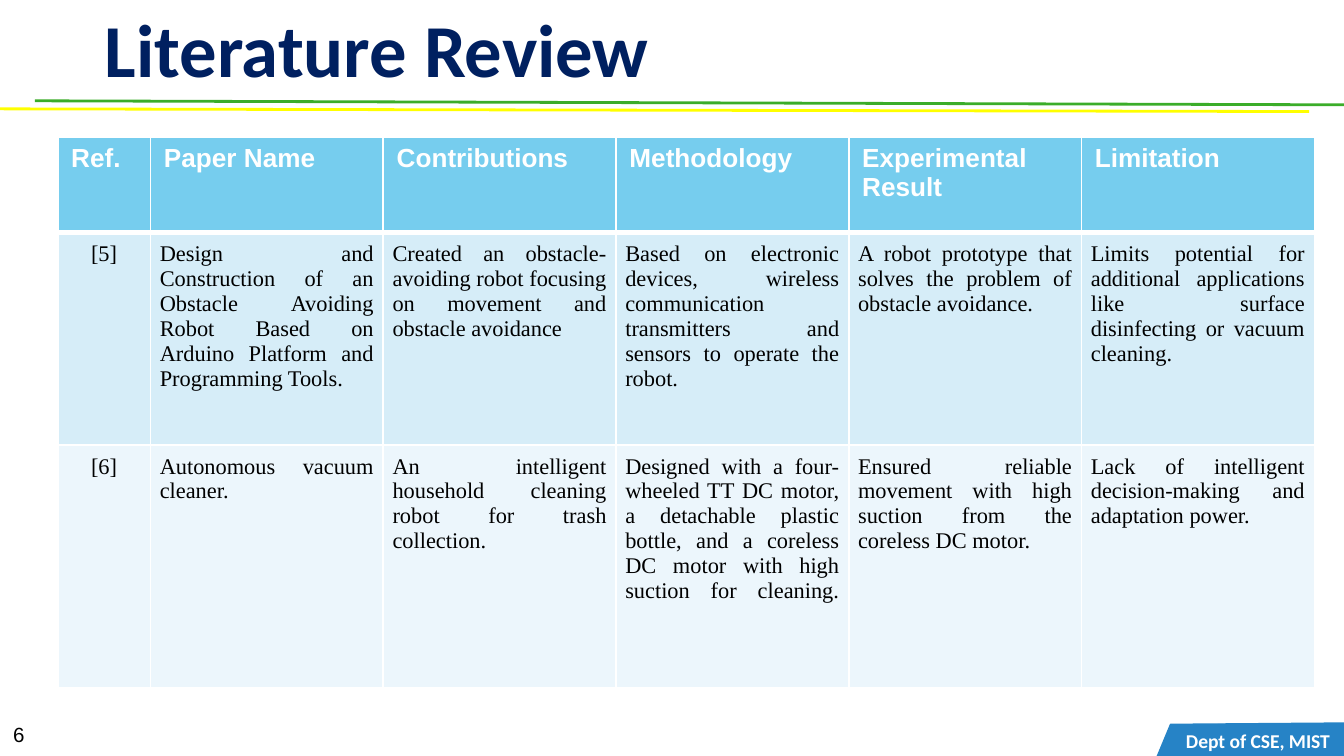
from lxml import etree
from pptx import Presentation
from pptx.dml.color import RGBColor
from pptx.enum.shapes import MSO_CONNECTOR
from pptx.enum.text import MSO_ANCHOR, PP_ALIGN
from pptx.oxml.ns import qn
from pptx.util import Inches, Pt

WHITE = RGBColor(0xFF, 0xFF, 0xFF)
BLACK = RGBColor(0x00, 0x00, 0x00)
NAVY = RGBColor(0x00, 0x20, 0x60)
GREEN = RGBColor(0x3B, 0xAD, 0x29)
YELLOW = RGBColor(0xFF, 0xFF, 0x00)
BLUE = RGBColor(0x26, 0x83, 0xC6)
HEADER_FILL = RGBColor(0x76, 0xCD, 0xEE)
ROW_FILLS = [HEADER_FILL, RGBColor(0xD6, 0xED, 0xF8), RGBColor(0xEC, 0xF6, 0xFC)]


def write(frame, text, font_name, size, color, bold=False, align=PP_ALIGN.LEFT):
    frame.text = text
    frame.word_wrap = True
    paragraph = frame.paragraphs[0]
    paragraph.alignment = align
    for span in paragraph.runs:
        span.font.name = font_name
        span.font.size = Pt(size)
        span.font.bold = bold
        span.font.color.rgb = color


def set_border(cell, side, width):
    line = etree.SubElement(cell._tc.get_or_add_tcPr(), qn(f"a:ln{side}"), w=str(Pt(width)))
    fill = etree.SubElement(line, qn("a:solidFill"))
    etree.SubElement(fill, qn("a:srgbClr"), val=str(WHITE))


deck = Presentation()
deck.slide_width = Inches(10)
deck.slide_height = Inches(10 * 9 / 16)
page = deck.slides.add_slide(deck.slide_layouts[5])

rules = [(0.26, 0.75, 10, 0.78, GREEN), (0, 0.81, 9.74, 0.83, YELLOW)]
for left, top, right, bottom, color in rules:
    rule = page.shapes.add_connector(
        MSO_CONNECTOR.STRAIGHT, Inches(left), Inches(top), Inches(right), Inches(bottom)
    )
    rule.line.color.rgb = color
    rule.line.width = Pt(1.5)
    etree.SubElement(rule._element.spPr, qn("a:effectLst"))

title = page.shapes.title
title.left, title.top = Inches(0.68), Inches(-0.08)
title.width, title.height = Inches(9.1), Inches(0.88)
title.text_frame.vertical_anchor = MSO_ANCHOR.TOP
title.text_frame.margin_top = title.text_frame.margin_bottom = Inches(0.1)
write(title.text_frame, "Literature Review", "Calibri", 40, NAVY, bold=True)

number_box = page.shapes.add_textbox(Inches(0), Inches(5.32), Inches(0.53), Inches(0.29))
write(number_box.text_frame, "6", "Arial", 11, BLACK)

outline = page.shapes.build_freeform(Inches(8.61), Inches(5.63))
corners = [(8.71, 5.39), (10, 5.38), (10.01, 5.63)]
outline.add_line_segments([(Inches(x), Inches(y)) for x, y in corners], close=True)
footer = outline.convert_to_shape()
footer.shadow.inherit = False
footer.fill.solid()
footer.fill.fore_color.rgb = BLUE
footer.line.color.rgb = BLUE
footer.line.width = Pt(0.75)

footer_box = page.shapes.add_textbox(Inches(8.72), Inches(5.41), Inches(1.28), Inches(0.2))
footer_box.text_frame.vertical_anchor = MSO_ANCHOR.MIDDLE
footer_box.text_frame.margin_top = footer_box.text_frame.margin_bottom = Inches(0.1)
write(footer_box.text_frame, "Dept of CSE, MIST", "Calibri", 10.5, WHITE, True, PP_ALIGN.CENTER)

papers = [
    ["Ref.", "Paper Name", "Contributions", "Methodology", "Experimental Result", "Limitation"],
    [
        "[5]",
        "Design and Construction of an Obstacle Avoiding Robot Based on Arduino Platform "
        "and Programming Tools.",
        "Created an obstacle-avoiding robot focusing on movement and obstacle avoidance",
        "Based on electronic devices, wireless communication transmitters and sensors "
        "to operate the robot.",
        "A robot prototype that solves the problem of obstacle avoidance.",
        "Limits potential for additional applications like surface disinfecting or "
        "vacuum cleaning.",
    ],
    [
        "[6]",
        "Autonomous vacuum cleaner.",
        "An intelligent household cleaning robot for trash collection.",
        "Designed with a four-wheeled TT DC motor, a detachable plastic bottle, and a "
        "coreless DC motor with high suction for cleaning.\v",
        "Ensured reliable movement with high suction from the coreless DC motor.",
        "Lack of intelligent decision-making and adaptation power.",
    ],
]
table_width = 9.35
reference_width = 0.69
column_widths = [reference_width] + [(table_width - reference_width) / 5] * 5
row_heights = [0.71, 1.58, 1.81]
cell_margin = Inches(5 / 72)
table = page.shapes.add_table(
    len(papers), len(column_widths), Inches(0.43), Inches(1.02),
    Inches(table_width), Inches(sum(row_heights)),
).table
table.horz_banding = False
for column, width in zip(table.columns, column_widths):
    column.width = Inches(width)
for row, height in zip(table.rows, row_heights):
    row.height = Inches(height)

for row_index, paper in enumerate(papers):
    for column_index, text in enumerate(paper):
        cell = table.cell(row_index, column_index)
        for side in "LRTB":
            at_header_edge = (row_index, side) in [(0, "B"), (1, "T")]
            set_border(cell, side, 3 if at_header_edge else 1)
        cell.fill.solid()
        cell.fill.fore_color.rgb = ROW_FILLS[row_index]
        if row_index == 0:
            write(cell.text_frame, text, "Arial", 14, WHITE, bold=True)
        else:
            cell.margin_left = cell.margin_right = cell_margin
            cell.margin_top = cell.margin_bottom = cell_margin
            align = PP_ALIGN.CENTER if column_index == 0 else PP_ALIGN.JUSTIFY
            write(cell.text_frame, text, "Times New Roman", 12, BLACK, align=align)

deck.save("out.pptx")
